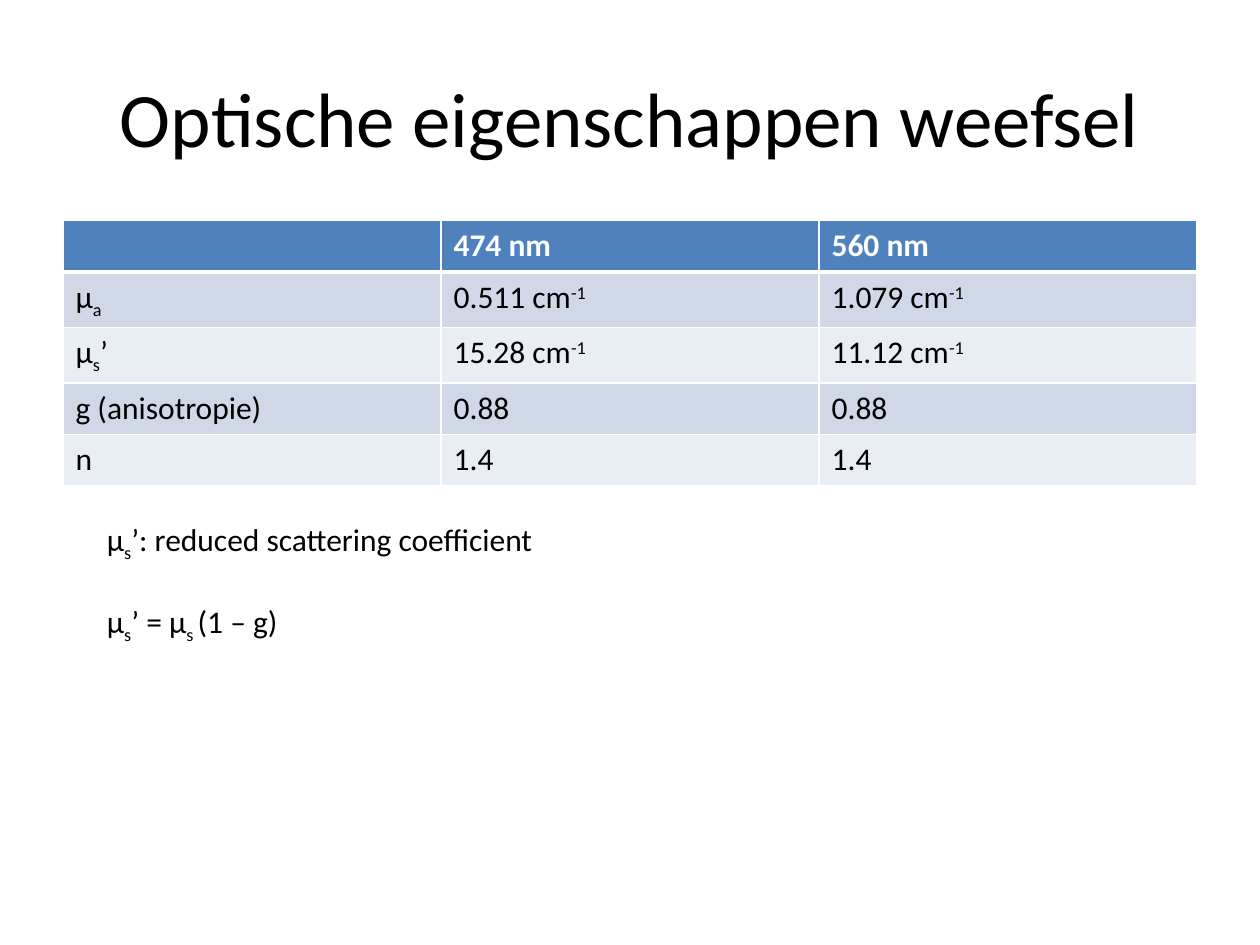
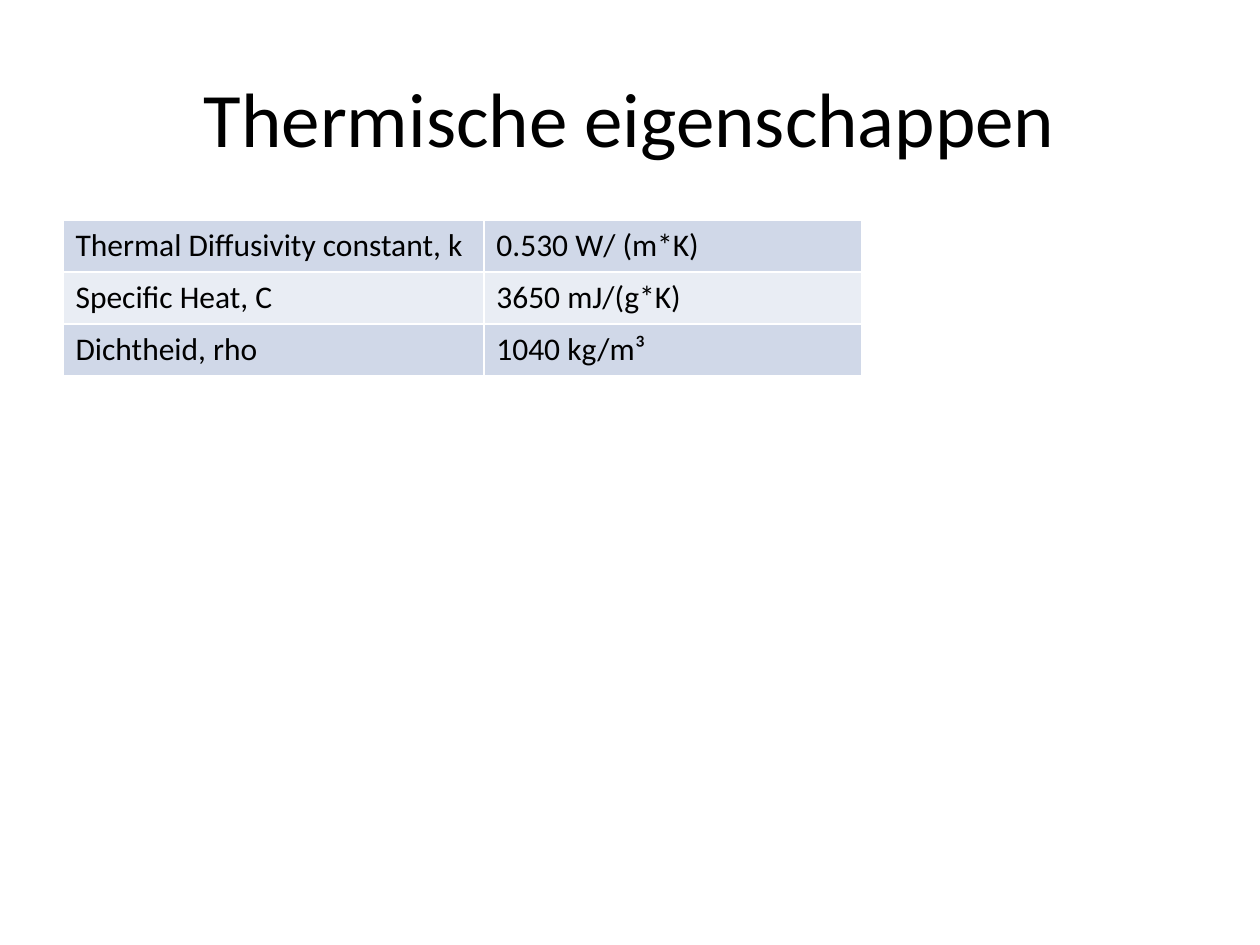
import pptx
import pptx.util
import pptx.dml.color
import pptx.enum.text
import pptx.oxml
from dataclasses import dataclass

# Content: "|" parts a text into runs, "_" starts a subscript, "^" a superscript
OPTICAL = {
    "title": "Optische eigenschappen weefsel",
    "header": True,
    "columns": [3, 3, 3],
    "rows": [
        ("", "474 nm", "560 nm "),
        ("µ|_a", "0.511 cm|^-1", "1.079 cm|^-1"),
        ("µ|_s|’", "15.28 cm|^-1", "11.12 cm|^-1"),
        ("g (anisotropie)", "0.88", "0.88"),
        ("n", "1.4", "1.4"),
    ],
    "notes": ["µ|_s|’: reduced scattering coefficient", "µ|_s|’ = µ|_s |(1 – g)"],
}
THERMAL = {
    "title": "Thermische eigenschappen",
    "header": False,
    "columns": [3.34, 3],
    "rows": [
        ("Thermal Diffusivity constant, k", "0.530 W/ (m*K)"),
        ("Specific Heat, C", "3650 mJ/(g*K)"),
        ("Dichtheid, rho", "1040 kg/m³"),
    ],
    "notes": [],
}


@dataclass(frozen=True)
class Theme:
    font: str = "Calibri"
    title_size: int = 44
    body_size: int = 18
    ink: str = "000000"
    paper: str = "FFFFFF"
    header: str = "4F81BD"
    bands: tuple = ("D0D8E8", "E9EDF4")
    thin: int = 1
    thick: int = 3


# Layout in inches
THEME = Theme()
WIDTH, HEIGHT = 10, 7.5
MARGIN = WIDTH * 0.05
TITLE_BOX = (MARGIN, HEIGHT * 0.04, WIDTH - 2 * MARGIN, 1.25)
TABLE_TOP = 1.75
ROW_HEIGHT = 0.41
NOTES_BOX = (MARGIN * 1.5, 4.08, 5.75, 1.92)
BASELINES = {"_": "-25000", "^": "30000"}


def color(value):
    return pptx.dml.color.RGBColor.from_string(value)


def inches(lengths):
    return [pptx.util.Inches(length) for length in lengths]


def write(paragraph, text, size=THEME.body_size, ink=THEME.ink, bold=False,
          align=None, gap=0):
    paragraph.alignment = align
    paragraph.space_before = pptx.util.Pt(gap)
    for part in filter(None, text.split("|")):
        baseline = BASELINES.get(part[0])
        run = paragraph.add_run()
        run.text = part[1:] if baseline else part
        run.font.name = THEME.font
        run.font.size = pptx.util.Pt(size)
        run.font.bold = bold
        run.font.color.rgb = color(ink)
        if baseline:
            run.font._element.set("baseline", baseline)


def add_borders(cell, top, bottom):
    properties = cell._tc.get_or_add_tcPr()
    sides = {"L": THEME.thin, "R": THEME.thin, "T": top, "B": bottom}
    for side, points in sides.items():
        properties.append(pptx.oxml.parse_xml(
            f'<a:ln{side} xmlns:a="http://schemas.openxmlformats.org/drawingml/2006/main"'
            f' w="{pptx.util.Pt(points)}"><a:solidFill><a:srgbClr val="{THEME.paper}"/>'
            f'</a:solidFill></a:ln{side}>'))


def add_table(slide, rows, columns, header):
    box = (MARGIN, TABLE_TOP, sum(columns), ROW_HEIGHT * len(rows))
    table = slide.shapes.add_table(len(rows), len(columns), *inches(box)).table
    table.first_row = header
    for column, width in zip(table.columns, inches(columns)):
        column.width = width
    for r, texts in enumerate(rows):
        table.rows[r].height = pptx.util.Inches(ROW_HEIGHT)
        is_header = header and r == 0
        fill = THEME.header if is_header else THEME.bands[(r - header) % 2]
        for c, text in enumerate(texts):
            cell = table.cell(r, c)
            add_borders(cell,
                        top=THEME.thick if header and r == 1 else THEME.thin,
                        bottom=THEME.thick if is_header else THEME.thin)
            cell.fill.solid()
            cell.fill.fore_color.rgb = color(fill)
            write(cell.text_frame.paragraphs[0], text, bold=is_header,
                  ink=THEME.paper if is_header else THEME.ink)


def add_notes(slide, notes):
    frame = slide.shapes.add_textbox(*inches(NOTES_BOX)).text_frame
    frame.word_wrap = True
    frame.auto_size = pptx.enum.text.MSO_AUTO_SIZE.SHAPE_TO_FIT_TEXT
    for i, note in enumerate(notes):
        paragraph = frame.add_paragraph() if i else frame.paragraphs[0]
        write(paragraph, note, gap=22 if i else 0)


def add_slide(deck, content):
    slide = deck.slides.add_slide(deck.slide_layouts.get_by_name("Title Only"))
    slide.background.fill.solid()
    slide.background.fill.fore_color.rgb = color(THEME.paper)
    title = slide.shapes.title
    title.left, title.top, title.width, title.height = inches(TITLE_BOX)
    title.text_frame.vertical_anchor = pptx.enum.text.MSO_ANCHOR.MIDDLE
    write(title.text_frame.paragraphs[0], content["title"], size=THEME.title_size,
          align=pptx.enum.text.PP_ALIGN.CENTER)
    add_table(slide, content["rows"], content["columns"], content["header"])
    if content["notes"]:
        add_notes(slide, content["notes"])


# Build the deck
deck = pptx.Presentation()
deck.slide_width, deck.slide_height = inches((WIDTH, HEIGHT))
for content in (OPTICAL, THERMAL):
    add_slide(deck, content)
deck.save("out.pptx")
